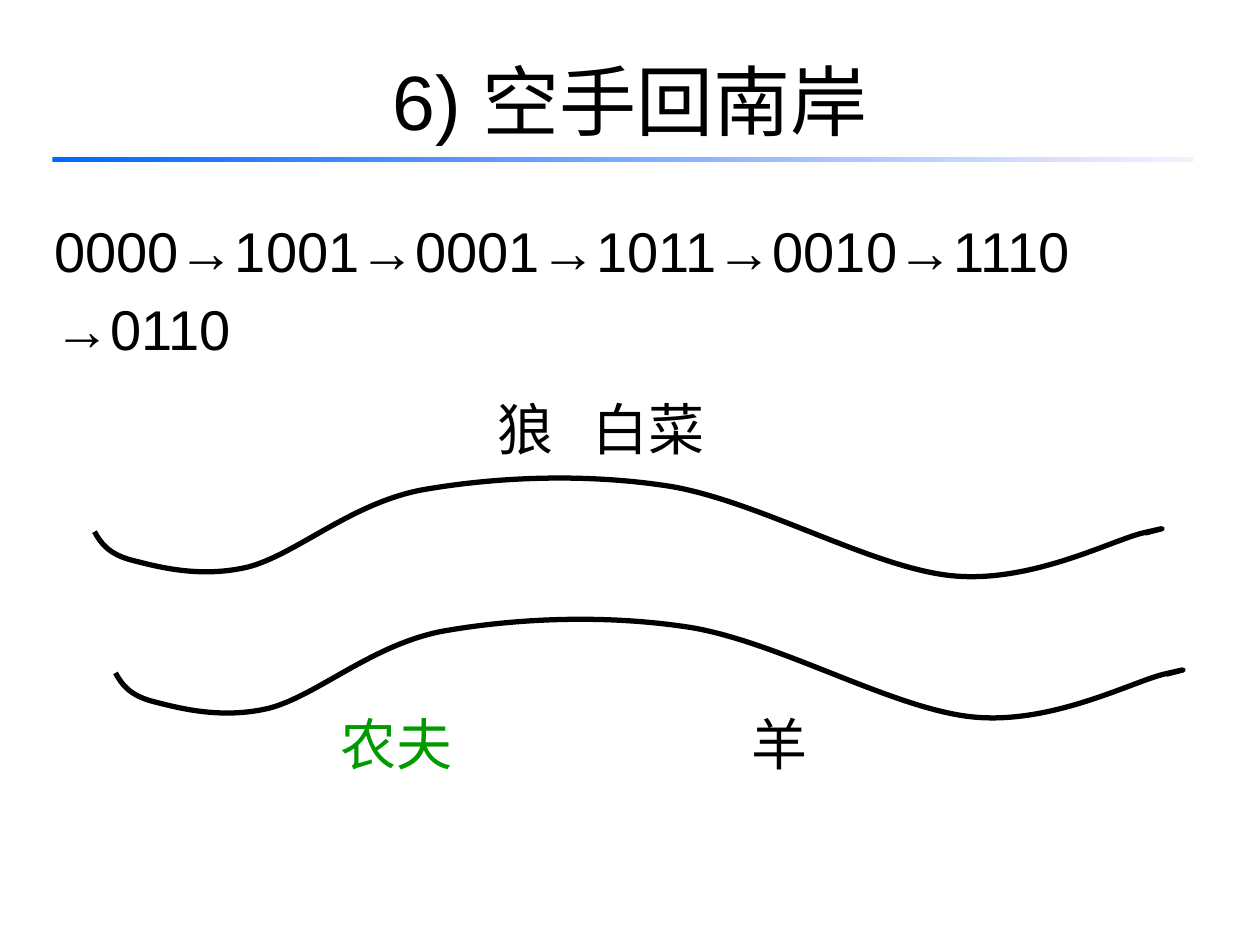
from lxml import etree
from pptx import Presentation
from pptx.dml.color import RGBColor
from pptx.enum.shapes import MSO_SHAPE
from pptx.enum.text import MSO_ANCHOR, PP_ALIGN
from pptx.oxml.ns import qn
from pptx.util import Inches, Pt

CENTER, JUSTIFY = PP_ALIGN.CENTER, PP_ALIGN.JUSTIFY
TOP, MIDDLE = MSO_ANCHOR.TOP, MSO_ANCHOR.MIDDLE
RECTANGLE = MSO_SHAPE.RECTANGLE
BLACK, GREEN = "000000", "009900"
CELL = Inches(1) // 12  # the slide is a grid of 120 columns by 90 rows


def color(hex_text):
    return RGBColor.from_string(hex_text)


def add_text(place, lines, size=32, ink=BLACK, align=JUSTIFY, anchor=TOP,
             margin=0, indent=0, before=0):
    box = page.shapes.add_textbox(*(int(n * CELL) for n in place))
    frame = box.text_frame
    frame.word_wrap = True
    frame.vertical_anchor = anchor
    frame.text = "\n".join(lines)
    for para in frame.paragraphs:
        para.alignment = align
        para.space_before = Pt(before)
        properties = para._p.get_or_add_pPr()
        properties.set("marL", str(Inches(margin)))
        properties.set("indent", str(Inches(indent)))
        for span in para.runs:
            span.font.size = Pt(size)
            span.font.name = "Arial"
            span.font.color.rgb = color(ink)


deck = Presentation()
deck.slide_width, deck.slide_height = 120 * CELL, 90 * CELL
page = deck.slides.add_slide(deck.slide_layouts[6])

# Title and the fading rule under it
add_text((6, 2, 108, 15), ["6) 空手回南岸"], size=44, align=CENTER, anchor=MIDDLE)
rule = page.shapes.add_shape(RECTANGLE, 5 * CELL, int(14.93 * CELL),
                             int(108.6 * CELL), CELL // 2)
rule.shadow.inherit = False
rule.line.fill.background()
rule.fill.gradient()
rule.fill.gradient_angle = 0
for stop, shade in zip(rule.fill.gradient_stops, ("0066FF", "F7EFFF")):
    stop.color.rgb = color(shade)

# River banks: a start and seven cubic curves in inches, drawn twice
BANK = [
    (0.75, 4.22),
    (0.8, 4.31), (0.86, 4.4), (1.06, 4.45),
    (1.26, 4.5), (1.59, 4.59), (1.97, 4.5),
    (2.35, 4.4), (2.78, 4), (3.34, 3.89),
    (3.9, 3.79), (4.62, 3.75), (5.32, 3.86),
    (6.03, 3.98), (6.93, 4.51), (7.56, 4.57),
    (8.18, 4.63), (8.82, 4.29), (9.07, 4.23),
    (9.33, 4.17), (9.21, 4.2), (9.09, 4.23),
]
for right, down in ((0, 0), (2, 13.45)):
    points = [(Inches(x) + right * CELL, Inches(y) + int(down * CELL))
              for x, y in BANK]
    builder = page.shapes.build_freeform(*points[0])
    builder.add_line_segments(points[1:], close=False)
    bank = builder.convert_to_shape()
    bank.shadow.inherit = False
    bank.fill.background()
    bank.line.color.rgb = color(BLACK)
    bank.line.width = Pt(3)
    # Every three segments become one curve
    segments = list(bank._element.iter(qn("a:lnTo")))
    outline = segments[0].getparent()
    for first in range(0, len(segments), 3):
        curve = etree.SubElement(outline, qn("a:cubicBezTo"))
        for segment in segments[first:first + 3]:
            curve.append(segment[0])
            outline.remove(segment)

# States passed so far
add_text((4, 20, 112, 16), ["0000→1001→0001→1011→0010→1110", "→0110"],
         margin=0.38, indent=-0.38, before=6.4)

# Who stands on which bank
NORTH, SOUTH = 37, 67
for name, column, row, ink in (
    ("农夫", 28.8, SOUTH, GREEN),
    ("狼", 43.8, NORTH, BLACK),
    ("白菜", 52.8, NORTH, BLACK),
    ("羊", 68, SOUTH, BLACK),
):
    add_text((column, row, 16, 9), [name], ink=ink, margin=0.2, before=6.4)

deck.save("out.pptx")
